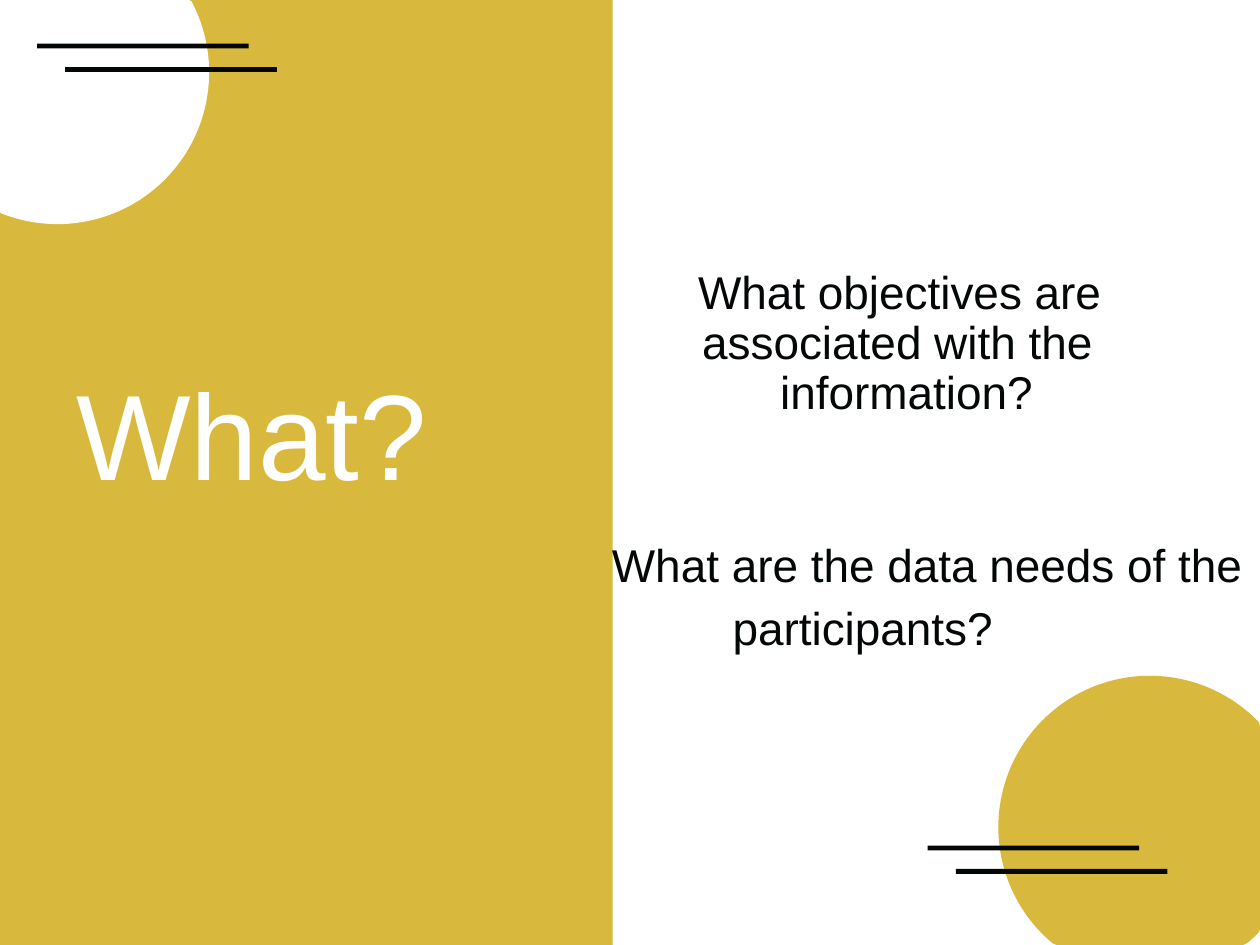
"""Build the two-tone "What?" slide."""
import math

import pptx
import pptx.dml.color
import pptx.enum.shapes
import pptx.enum.text
import pptx.util

Pt = pptx.util.Pt
RGBColor = pptx.dml.color.RGBColor

GOLD = RGBColor(0xD9, 0xB9, 0x3D)
WHITE = RGBColor(0xFF, 0xFF, 0xFF)
INK = RGBColor(0x04, 0x07, 0x07)
FONT = "Arial"

WIDTH, HEIGHT = 768, 576
PANEL_WIDTH = 373.5
BAR_WIDTH, BAR_HEIGHT = 129, 3
BAR_SHIFT, BAR_STEP = 17.2, 14.3

CORNERS = [
    {"centre": (700.8, 504.2), "radius": 92.3, "colour": GOLD, "bars": (565.4, 515.4)},
    {"centre": (35, 44.1), "radius": 92.5, "colour": WHITE, "bars": (22.6, 26.6)},
]
TITLE = ("What objectives are", (424.5, 159.5, 280, 35))
LINES = [
    ("What?", (45.5, 218, 261, 91), 74, WHITE),
    ("associated with the", (427, 190, 274, 35), 28, INK),
    ("information?", (474.5, 220.5, 181, 35), 28, INK),
]
QUESTION = ("What are the data needs of the participants?", (372, 317.5, 387, 66))
HANGING = 73.5


def paint(shape, colour):
    shape.shadow.inherit = False
    shape.fill.solid()
    shape.fill.fore_color.rgb = colour
    shape.line.fill.background()


def add_outline(page, contours, colour):
    contours = [[(Pt(x), Pt(y)) for x, y in points] for points in contours]
    builder = page.shapes.build_freeform(*contours[0][0], scale=1.0)
    for number, points in enumerate(contours):
        if number:
            builder.move_to(*points[0])
        builder.add_line_segments(points[1:], close=True)
    paint(builder.convert_to_shape(), colour)


def clipped_circle(centre, radius):
    points = []
    for degree in range(0, 360, 2):
        angle = math.radians(degree)
        x = centre[0] + radius * math.cos(angle)
        y = centre[1] + radius * math.sin(angle)
        points.append((min(max(x, 0), WIDTH), min(max(y, 0), HEIGHT)))
    return points


def bar(left, top):
    right, bottom = left + BAR_WIDTH, top + BAR_HEIGHT
    return [(left, top), (right, top), (right, bottom), (left, bottom)]


def write(box, text, place, size, colour, inset=1):
    box.left, box.top, box.width, box.height = map(Pt, place)
    frame = box.text_frame
    frame.word_wrap = True
    frame.auto_size = pptx.enum.text.MSO_AUTO_SIZE.NONE
    frame.vertical_anchor = pptx.enum.text.MSO_ANCHOR.TOP
    frame.margin_left, frame.margin_top = Pt(1), Pt(inset)
    frame.margin_right = frame.margin_bottom = 0
    para = frame.paragraphs[0]
    para.text = text
    para.alignment = pptx.enum.text.PP_ALIGN.LEFT
    para.font.name = FONT
    para.font.size = Pt(size)
    para.font.color.rgb = colour
    return para


def main():
    deck = pptx.Presentation()
    deck.slide_width, deck.slide_height = Pt(WIDTH), Pt(HEIGHT)
    page = deck.slides.add_slide(deck.slide_layouts[5])

    panel = page.shapes.add_shape(
        pptx.enum.shapes.MSO_SHAPE.RECTANGLE, 0, 0, Pt(PANEL_WIDTH), Pt(HEIGHT))
    paint(panel, GOLD)
    for corner in CORNERS:
        circle = clipped_circle(corner["centre"], corner["radius"])
        add_outline(page, [circle], corner["colour"])
        left, top = corner["bars"]
        bars = [bar(left, top), bar(left + BAR_SHIFT, top + BAR_STEP)]
        add_outline(page, bars, INK)

    write(page.shapes.title, *TITLE, 28, INK)
    for text, place, size, colour in LINES:
        write(page.shapes.add_textbox(0, 0, 0, 0), text, place, size, colour)
    para = write(page.shapes.add_textbox(0, 0, 0, 0), *QUESTION, 28, INK, inset=4.5)
    para.line_spacing = 1.15
    properties = para._p.get_or_add_pPr()
    properties.set("marL", str(Pt(HANGING)))
    properties.set("indent", str(-Pt(HANGING)))

    deck.save("out.pptx")


if __name__ == "__main__":
    main()
